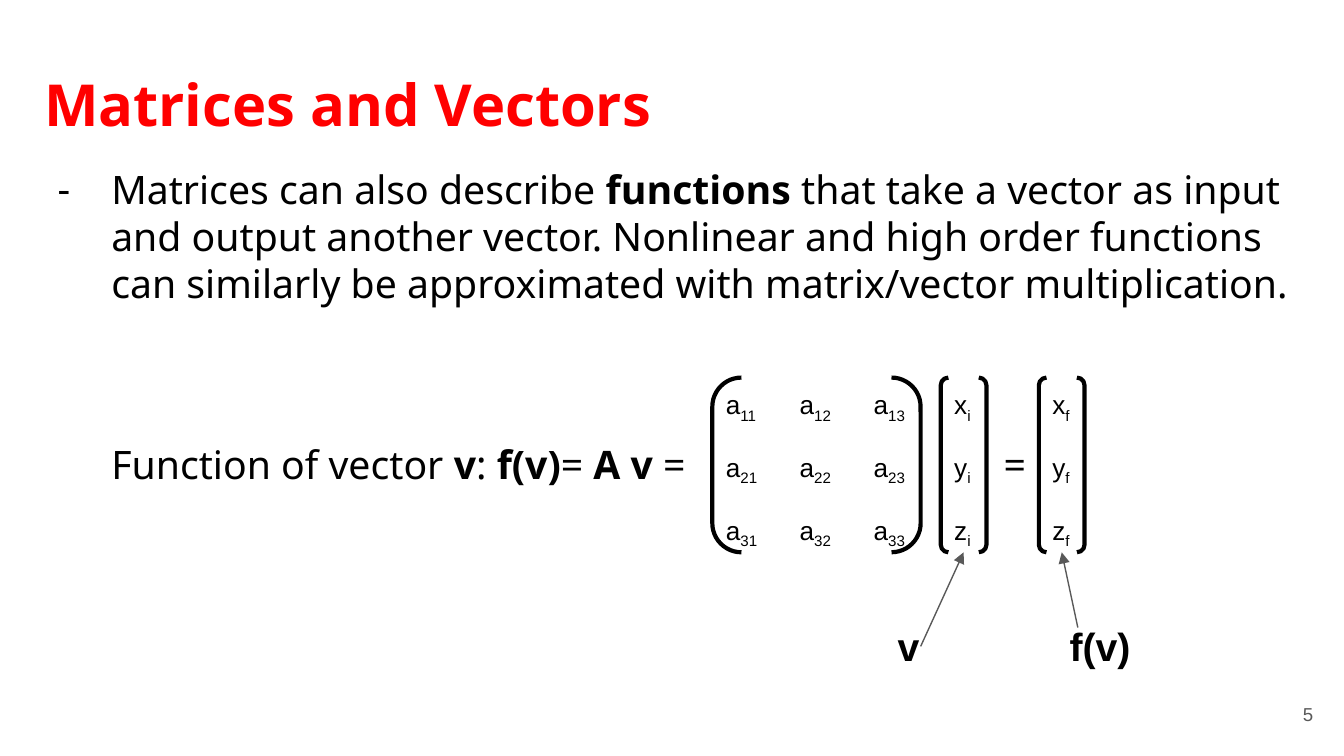
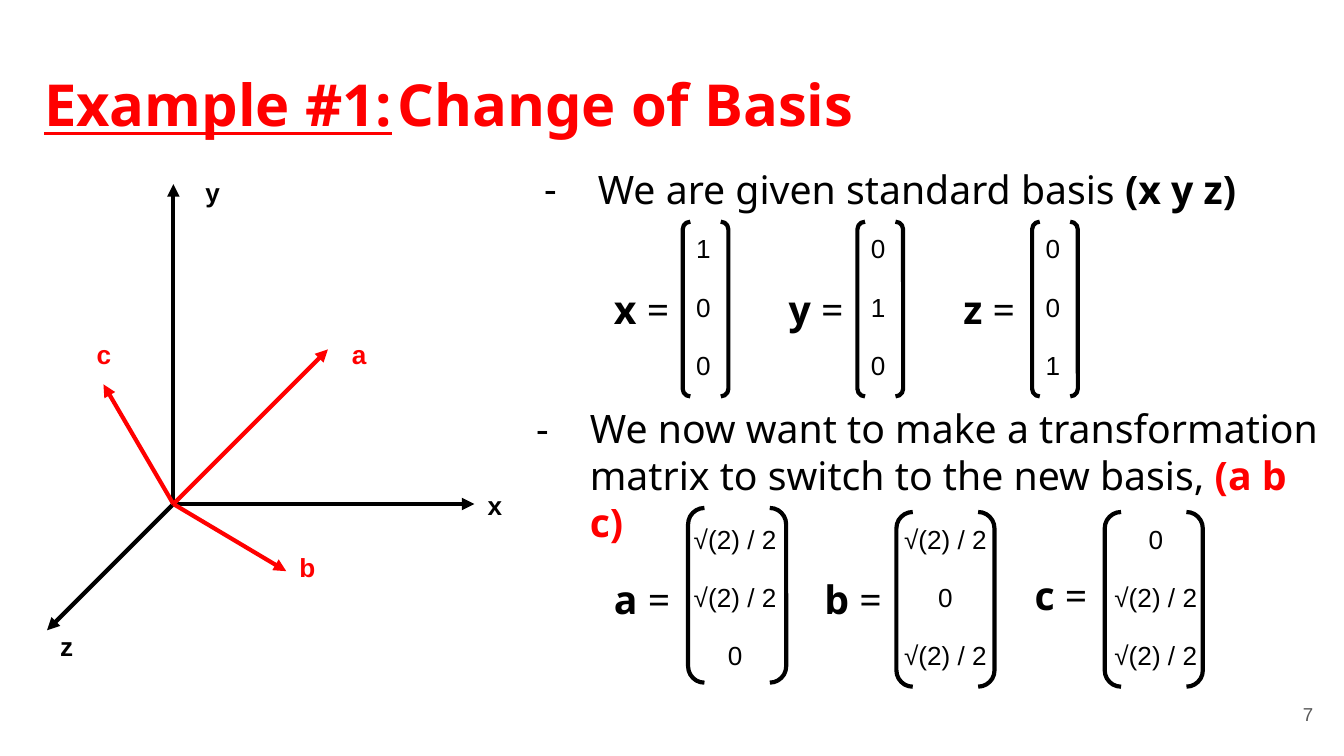
import pptx
import pptx.dml.color
import pptx.enum.shapes
import pptx.enum.text
import pptx.oxml
import pptx.oxml.ns
import pptx.util
from lxml import etree

Inches = pptx.util.Inches
Pt = pptx.util.Pt
RGBColor = pptx.dml.color.RGBColor
Align = pptx.enum.text.PP_ALIGN
qn = pptx.oxml.ns.qn

BLACK = RGBColor(0x00, 0x00, 0x00)
RED = RGBColor(0xFF, 0x00, 0x00)
GRAY = RGBColor(0x59, 0x59, 0x59)
HEAD_FONT = "Noto Sans"
LABEL_FONT = "Arial"
INSET = Inches(0.1)
BRACKET_HEIGHT = 1.3
ROW_HEIGHT = 0.43
CELL_BORDER = (
    '<a:{side} xmlns:a="http://schemas.openxmlformats.org/drawingml/2006/main" w="9525">'
    '<a:solidFill><a:srgbClr val="FFFFFF"/></a:solidFill></a:{side}>'
)


def add_text(slide, box, text, size=21, font=HEAD_FONT, color=BLACK, bullet=False):
    """Add a text box and return it; parts between ** marks are bold."""
    shape = slide.shapes.add_textbox(*map(Inches, box))
    frame = shape.text_frame
    frame.word_wrap = True
    frame.auto_size = pptx.enum.text.MSO_AUTO_SIZE.SHAPE_TO_FIT_TEXT
    frame.margin_left = frame.margin_right = INSET
    frame.margin_top = frame.margin_bottom = INSET
    paragraph = frame.paragraphs[0]
    if bullet:
        properties = paragraph._p.get_or_add_pPr()
        properties.set("marL", str(Inches(0.5)))
        properties.set("indent", str(-Inches(0.4)))
        bullet_color = etree.SubElement(properties, qn("a:buClr"))
        etree.SubElement(bullet_color, qn("a:srgbClr")).set("val", str(BLACK))
        etree.SubElement(properties, qn("a:buFont")).set("typeface", font)
        etree.SubElement(properties, qn("a:buChar")).set("char", "-")
    paragraph.font.size = Pt(size)
    paragraph.font.name = font
    paragraph.font.color.rgb = color
    for index, part in enumerate(text.split("**")):
        if part:
            run = paragraph.add_run()
            run.text = part
            run.font.bold = index % 2 == 1
    return shape


def add_matrix(slide, left, top, widths, rows, bracket, align=Align.LEFT):
    """Add a table inside a bracket (left, top, width) and return the bracket.

    An entry such as a_11 shows what follows the underscore as a subscript.
    """
    table = slide.shapes.add_table(
        len(rows), len(widths), Inches(left), Inches(top),
        Inches(sum(widths)), Inches(ROW_HEIGHT * len(rows))).table
    table.first_row = table.horz_banding = False
    for column, width in zip(table.columns, widths):
        column.width = Inches(width)
    for row_index, entries in enumerate(rows):
        for column_index, entry in enumerate(entries):
            cell = table.cell(row_index, column_index)
            cell.margin_left = cell.margin_right = INSET
            cell.margin_top = cell.margin_bottom = INSET
            cell.fill.background()
            for position, side in enumerate(("lnL", "lnR", "lnT", "lnB")):
                border = pptx.oxml.parse_xml(CELL_BORDER.format(side=side))
                cell._tc.get_or_add_tcPr().insert(position, border)
            paragraph = cell.text_frame.paragraphs[0]
            paragraph.alignment = align
            paragraph.font.size = Pt(14)
            paragraph.font.name = LABEL_FONT
            paragraph.font.color.rgb = BLACK
            for part_index, part in enumerate(entry.split("_")):
                run = paragraph.add_run()
                run.text = part
                if part_index:
                    run._r.get_or_add_rPr().set("baseline", "-25000")
    bracket_left, bracket_top, bracket_width = bracket
    shape = slide.shapes.add_shape(
        pptx.enum.shapes.MSO_SHAPE.DOUBLE_BRACKET, Inches(bracket_left),
        Inches(bracket_top), Inches(bracket_width), Inches(BRACKET_HEIGHT))
    shape.shadow.inherit = False
    shape.fill.background()
    shape.line.color.rgb = BLACK
    shape.line.width = Pt(2.25)
    return shape


presentation = pptx.Presentation()
presentation.slide_width = Inches(10)
presentation.slide_height = Inches(10) * 9 // 16
blank = presentation.slide_layouts[6]
function_slide = presentation.slides.add_slide(blank)
basis_slide = presentation.slides.add_slide(blank)

# Page numbers and titles
for slide, number in ((function_slide, "5"), (basis_slide, "7")):
    frame = add_text(slide, (9.27, 5.1, 0.6, 0.43), number, 10, LABEL_FONT, GRAY).text_frame
    frame.auto_size = pptx.enum.text.MSO_AUTO_SIZE.NONE
    frame.vertical_anchor = pptx.enum.text.MSO_ANCHOR.MIDDLE
    frame.paragraphs[0].alignment = Align.RIGHT

for slide, left, width, title, underline in (
        (function_slide, 0.23, 7.34, "Matrices and Vectors", False),
        (basis_slide, 0.23, 2.8, "Example #1:", True),
        (basis_slide, 2.86, 5.53, "Change of Basis", False)):
    shape = add_text(slide, (left, 0.41, width, 0.72), f"**{title}**", 31, color=RED)
    shape.text_frame.paragraphs[0].runs[0].font.underline = underline

# Function slide: f(v) = A v
add_text(function_slide, (0.23, 1.13, 9.63, 1.26),
         "Matrices can also describe **functions** that take a vector as input and output "
         "another vector. Nonlinear and high order functions can similarly be approximated "
         "with matrix/vector multiplication.", bullet=True)
add_text(function_slide, (0.73, 3.18, 4.57, 0.56),
         "Function of vector **v**: **f(v)**= **A v** =")
add_matrix(function_slide, 5.3, 2.81, (0.55, 0.55, 0.46),
           [[f"a_{row}{column}" for column in (1, 2, 3)] for row in (1, 2, 3)],
           (5.3, 2.81, 1.55))
input_vector, output_vector = [
    add_matrix(function_slide, left, 2.81, (0.42,),
               [[f"{axis}_{subscript}"] for axis in "xyz"], (left, 2.81, 0.34))
    for left, subscript in ((7, "i"), (7.73, "f"))]
add_text(function_slide, (7.37, 3.18, 0.34, 0.56), "=")
add_text(function_slide, (6.58, 4.53, 0.42, 0.56), "**v**", font=LABEL_FONT)
add_text(function_slide, (7.86, 4.53, 0.71, 0.56), "**f(v)**", font=LABEL_FONT)

# Basis slide: standard basis, then new basis
for left, top, label, color in (
        (3.53, 3.54, "x", BLACK), (1.43, 1.21, "y", BLACK), (0.35, 4.59, "z", BLACK),
        (2.52, 2.42, "a", RED), (2.13, 4, "b", RED), (0.62, 2.42, "c", RED)):
    add_text(basis_slide, (left, top, 0.4, 0.44), f"**{label}**", 14, LABEL_FONT, color)

add_text(basis_slide, (3.85, 1.13, 5.83, 0.56),
         "We are given standard basis **(x y z)**", bullet=True)
for index, axis in enumerate("xyz"):
    offset = 1.3 * index
    add_text(basis_slide, (4.47 + offset, 2.02, 0.66, 0.56), f"**{axis}** =")
    add_matrix(basis_slide, 5.08 + offset, 1.65, (0.42,),
               [["1" if row == index else "0"] for row in range(3)],
               (5.08 + offset, 1.65, 0.34))

new_basis = add_text(basis_slide, (3.79, 2.91, 6.15, 0.91),
                     "We now want to make a transformation matrix to switch to the new "
                     "basis, **(a b c)**", bullet=True)
new_basis.text_frame.paragraphs[0].runs[-1].font.color.rgb = RED
ROOT = "√(2) / 2"
for index, (name, label_top, entries, bracket) in enumerate((
        ("a", 4.18, (ROOT, ROOT, "0"), (5.12, 3.78, 0.73)),
        ("b", 4.18, (ROOT, "0", ROOT), (6.67, 3.81, 0.73)),
        ("c", 4.15, ("0", ROOT, ROOT), (8.22, 3.81, 0.73)))):
    offset = 1.565 * index
    add_text(basis_slide, (4.47 + offset, label_top, 0.66, 0.56), f"**{name}** =")
    add_matrix(basis_slide, 5 + offset, 3.81, (0.94,),
               [[entry] for entry in entries], bracket, Align.CENTER)

# Arrows: slide, start, end, colour, width, shape the head is joined to
ORIGIN = (1.29, 3.75)
arrows = [
    (function_slide, (6.85, 4.81), (7.17, 4.11), GRAY, 0.75, input_vector),
    (function_slide, (8.02, 4.67), (7.9, 4.11), GRAY, 0.75, output_vector),
]
for tip, color in (((1.29, 1.37), BLACK), ((0.35, 4.69), BLACK), ((3.53, 3.75), BLACK),
                   ((2.44, 2.6), RED), ((2.13, 4.25), RED), ((0.77, 2.86), RED)):
    arrows.append((basis_slide, ORIGIN, tip, color, 2.25, None))
for slide, start, end, color, width, target in arrows:
    arrow = slide.shapes.add_connector(
        pptx.enum.shapes.MSO_CONNECTOR.STRAIGHT, *map(Inches, start + end))
    if target is not None:
        arrow.end_connect(target, 2)
    arrow.line.color.rgb = color
    arrow.line.width = Pt(width)
    etree.SubElement(arrow.line._get_or_add_ln(), qn("a:tailEnd")).set("type", "triangle")
    etree.SubElement(arrow._element.spPr, qn("a:effectLst"))

presentation.save("out.pptx")
